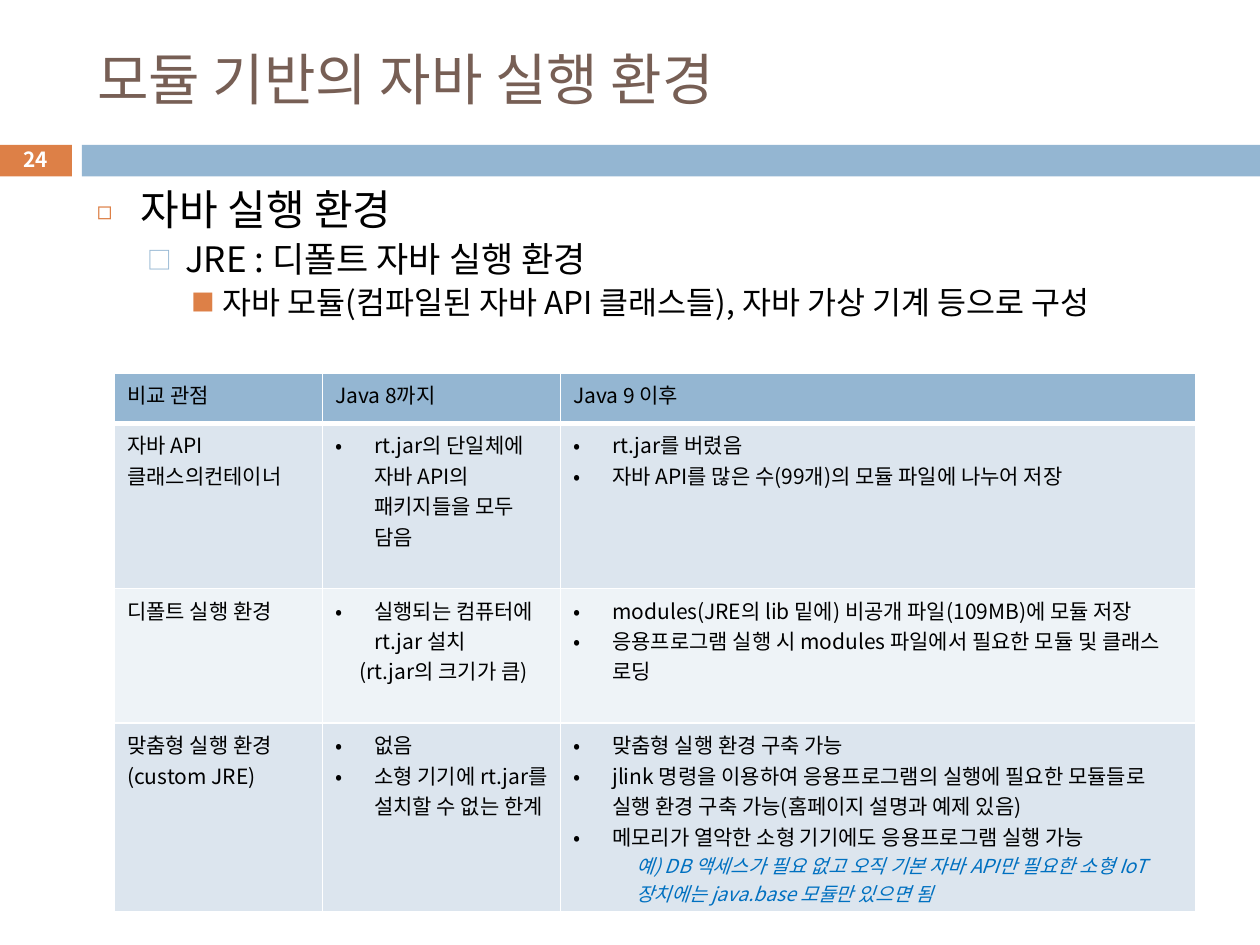
import pptx
import pptx.util
import pptx.dml.color
import pptx.enum.shapes
import pptx.enum.text
import pptx.oxml.ns
from dataclasses import dataclass
from lxml import etree

Inches, Pt = pptx.util.Inches, pptx.util.Pt
ALIGN, ANCHOR = pptx.enum.text.PP_ALIGN, pptx.enum.text.MSO_ANCHOR


@dataclass(frozen=True)
class Theme:
    font: str = "Noto Sans CJK KR"
    brown: str = "775F55"
    orange: str = "DD8047"
    blue: str = "94B6D2"
    band_dark: str = "DCE5EE"
    band_light: str = "EEF3F7"
    link: str = "0070C0"
    black: str = "000000"
    white: str = "FFFFFF"
    title: float = 32
    levels: tuple = (24, 20, 18)
    number: float = 11.9
    cell: float = 12
    example: float = 11


T = Theme()
LEFT, WIDTH = 0.67, 8.92  # column shared by title and body

# Outline: text, indent, hanging, space before, bullet, colour, bullet size %
OUTLINE = [
    ("자바 실행 환경", 0.35, 0.35, 0, "◻", T.orange, 60),
    ("JRE : 디폴트 자바 실행 환경", 0.7, 0.3, 5.5, "□", T.blue, 70),
    ("자바 모듈(컴파일된 자바 API 클래스들), 자바 가상 기계 등으로 구성",
     1, 0.25, 5, "■", T.orange, 75),
]

# Table: a cell is a list of (kind, text)
COLUMNS = (1.65, 1.89, 5.04)
ROWS = (0.4, 1.31, 1.07, 1.5)
CELLS = [
    [[("plain", "비교 관점")], [("plain", "Java 8까지")], [("plain", "Java 9 이후")]],
    [[("plain", "자바 API 클래스의컨테이너")],
     [("bullet", "rt.jar의 단일체에 자바 API의 패키지들을 모두 담음")],
     [("bullet", "rt.jar를 버렸음"),
      ("bullet", "자바 API를 많은 수(99개)의 모듈 파일에 나누어 저장")]],
    [[("plain", "디폴트 실행 환경")],
     [("bullet", "실행되는 컴퓨터에 rt.jar 설치"), ("note", "(rt.jar의 크기가 큼)")],
     [("bullet", "modules(JRE의 lib 밑에) 비공개 파일(109MB)에 모듈 저장"),
      ("bullet", "응용프로그램 실행 시 modules 파일에서 필요한 모듈 및 클래스 로딩")]],
    [[("plain", "맞춤형 실행 환경(custom JRE)")],
     [("bullet", "없음"), ("bullet", "소형 기기에 rt.jar를 설치할 수 없는 한계")],
     [("bullet", "맞춤형 실행 환경 구축 가능"),
      ("bullet", "jlink 명령을 이용하여 응용프로그램의 실행에 필요한 모듈들로 "
                 "실행 환경 구축 가능(홈페이지 설명과 예제 있음)"),
      ("bullet", "메모리가 열악한 소형 기기에도 응용프로그램 실행 가능"),
      ("example", "예) DB 액세스가 필요 없고 오직 기본 자바 API만 필요한 소형 "
                  "IoT 장치에는 java.base 모듈만 있으면 됨")]],
]


def rgb(value):
    return pptx.dml.color.RGBColor.from_string(value)


def add_xml(parent, tag, **attributes):
    return etree.SubElement(parent, pptx.oxml.ns.qn(tag), attributes)


def add_run(p, text, size, color=T.black, bold=False, italic=False):
    r = p.add_run()
    r.text = text
    f = r.font
    f.name, f.size, f.bold, f.italic = T.font, Pt(size), bold, italic
    f.color.rgb = rgb(color)
    add_xml(r.font._element, "a:ea", typeface=T.font)


def indent(p, left, hanging=0, bullet=None, color=None, percent=None):
    pPr = p._p.get_or_add_pPr()
    pPr.set("marL", str(Inches(left)))
    pPr.set("indent", str(-Inches(hanging)))
    if color:
        add_xml(add_xml(pPr, "a:buClr"), "a:srgbClr", val=color)
    if percent:
        add_xml(pPr, "a:buSzPct", val=str(percent * 1000))
    if bullet:
        add_xml(pPr, "a:buFont", typeface=T.font)
        add_xml(pPr, "a:buChar", char=bullet)


def paragraphs(tf, count):
    return [tf.paragraphs[0]] + [tf.add_paragraph() for _ in range(count - 1)]


def add_bar(s, left, width, color):
    sp = s.shapes.add_shape(pptx.enum.shapes.MSO_SHAPE.RECTANGLE,
                            Inches(left), Inches(1.15), Inches(width), Inches(0.25))
    sp.shadow.inherit = False
    sp.fill.solid()
    sp.fill.fore_color.rgb = rgb(color)
    sp.line.fill.background()


def add_title(s, text):
    sp = s.shapes.title
    sp.left, sp.top, sp.width, sp.height = map(Inches, (LEFT, 0.25, WIDTH, 0.74))
    tf = sp.text_frame
    tf.auto_size = pptx.enum.text.MSO_AUTO_SIZE.NONE
    tf.vertical_anchor = ANCHOR.MIDDLE
    tf.paragraphs[0].alignment = ALIGN.LEFT
    add_run(tf.paragraphs[0], text, T.title, T.brown)


def add_text_box(s, left, top, width, height):
    tf = s.shapes.add_textbox(*map(Inches, (left, top, width, height))).text_frame
    tf.word_wrap = True
    return tf


def add_page_number(s, text):
    tf = add_text_box(s, -0.01, 1.13, 0.58, 0.27)
    tf.margin_left = tf.margin_right = tf.margin_top = tf.margin_bottom = 0
    tf.vertical_anchor = ANCHOR.MIDDLE
    tf.paragraphs[0].alignment = ALIGN.CENTER
    add_run(tf.paragraphs[0], text, T.number, T.white, bold=True)


def add_outline(s):
    tf = add_text_box(s, LEFT, 1.47, WIDTH, 1.35)
    for level, (p, item) in enumerate(zip(paragraphs(tf, len(OUTLINE)), OUTLINE)):
        text, left, hanging, before, bullet, color, percent = item
        p.level = level
        indent(p, left, hanging, bullet, color, percent)
        p.line_spacing = 0.85
        p.space_before = Pt(before)
        add_run(p, text, T.levels[level])


def style_cell(cell, fill, bottom):
    tcPr = cell._tc.get_or_add_tcPr()
    for side, width in (("L", 1), ("R", 1), ("T", 1), ("B", bottom)):
        line = add_xml(tcPr, f"a:ln{side}", w=str(Pt(width)))
        add_xml(add_xml(line, "a:solidFill"), "a:srgbClr", val=T.white)
    cell.fill.solid()
    cell.fill.fore_color.rgb = rgb(fill)


def fill_cell(cell, items):
    for p, (kind, text) in zip(paragraphs(cell.text_frame, len(items)), items):
        if kind == "bullet":
            indent(p, 0.31, 0.31, "•")
        elif kind == "note":
            indent(p, 0.19)
        elif kind == "example":
            indent(p, 0.5)
        if kind == "example":
            add_run(p, text, T.example, T.link, italic=True)
        else:
            add_run(p, text, T.cell)


def add_comparison(s):
    frame = s.shapes.add_table(len(ROWS), len(COLUMNS), Inches(0.91), Inches(2.96),
                               Inches(sum(COLUMNS)), Inches(sum(ROWS)))
    table = frame.table
    for column, width in zip(table.columns, COLUMNS):
        column.width = Inches(width)
    for i, (row, height) in enumerate(zip(table.rows, ROWS)):
        row.height = Inches(height)
        band = T.blue if i == 0 else (T.band_light, T.band_dark)[i % 2]
        for cell, items in zip(row.cells, CELLS[i]):
            style_cell(cell, band, 3 if i == 0 else 1)
            fill_cell(cell, items)


def main():
    prs = pptx.Presentation()
    prs.slide_width, prs.slide_height = Inches(10), Inches(7.5)
    s = prs.slides.add_slide(prs.slide_layouts[5])
    # Header band
    add_bar(s, -0.01, 0.58, T.orange)
    add_bar(s, 0.65, 9.35, T.blue)
    add_title(s, "모듈 기반의 자바 실행 환경")
    add_page_number(s, "24")
    # Content
    add_outline(s)
    add_comparison(s)
    prs.save("out.pptx")


if __name__ == "__main__":
    main()
